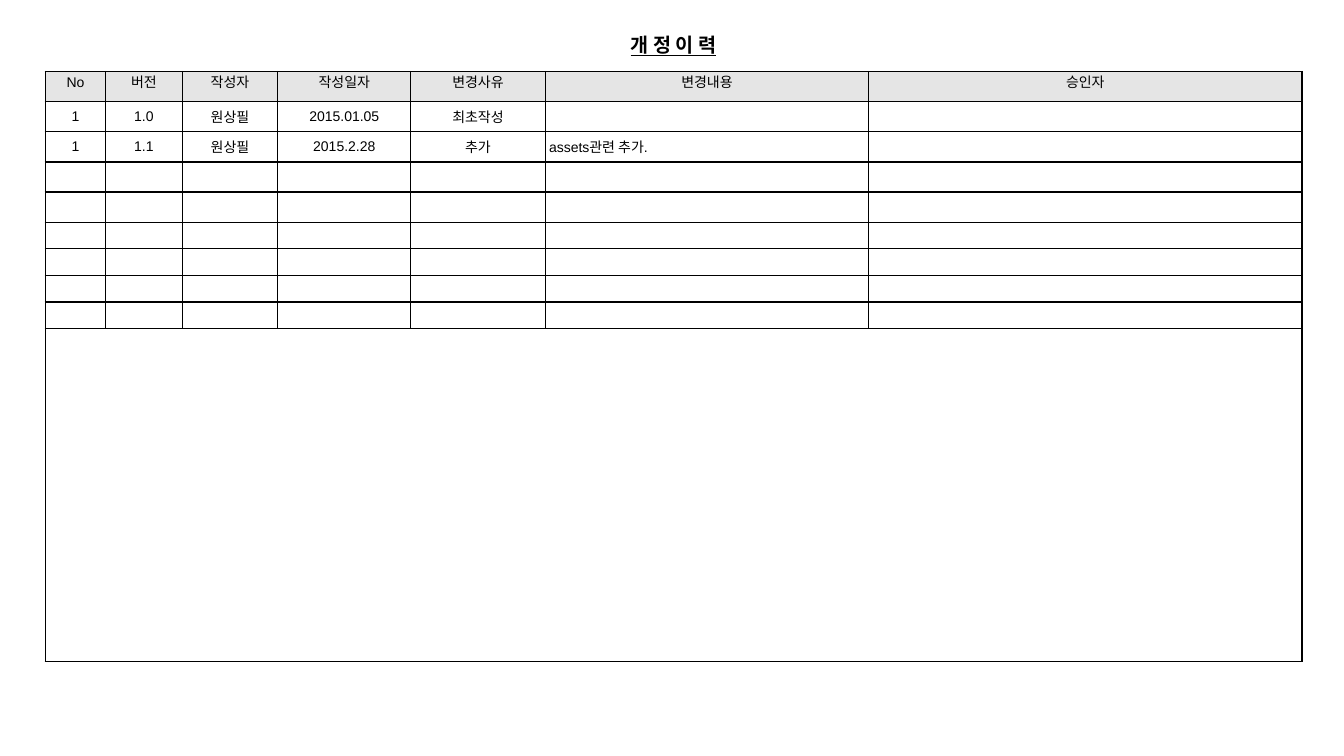
from pptx import Presentation
from pptx.dml.color import RGBColor
from pptx.enum.text import MSO_ANCHOR, PP_ALIGN
from pptx.oxml import parse_xml
from pptx.oxml.ns import nsdecls
from pptx.util import Cm, Pt

TITLE = "개 정 이 력"
HEAD = ["No", "버전", "작성자", "작성일자", "변경사유", "변경내용", "승인자"]
LOG = [
    ["1", "1.0", "원상필", "2015.01.05", "최초작성", "", ""],
    ["1", "1.1", "원상필", "2015.2.28", "추가", " assets관련 추가.", ""],
]
WIDTHS = [1.52, 1.93, 2.41, 3.35, 3.39, 8.15, 10.92]
HEIGHTS = [0.76] * 5 + [0.67] * 4 + [8.38]
LEFT, TOP = 1.14, 1.8
NOTE = 5

BLACK = RGBColor(0, 0, 0)
GREY = RGBColor(0xE5, 0xE5, 0xE5)
LATIN, KOREAN = "Arial", "Noto Sans CJK KR"


def write(para, text, size, face):
    run = para.add_run()
    run.text = text
    font = run.font
    font.size = Pt(size)
    font.name = face
    font.color.rgb = BLACK
    font._element.append(parse_xml(f'<a:ea {nsdecls("a")} typeface="{KOREAN}"/>'))
    return font


def border(cell):
    props = cell._tc.get_or_add_tcPr()
    for spot, side in enumerate("LRTB"):
        props.insert(spot, parse_xml(
            f'<a:ln{side} {nsdecls("a")} w="{Pt(1)}"><a:solidFill>'
            f'<a:srgbClr val="{BLACK}"/></a:solidFill></a:ln{side}>'))


def fill(cell, text, row, col):
    cell.margin_left = cell.margin_right = cell.margin_top = cell.margin_bottom = 0
    cell.vertical_anchor = MSO_ANCHOR.MIDDLE
    if row == 0:
        cell.fill.solid()
        cell.fill.fore_color.rgb = GREY
    else:
        cell.fill.background()
    border(cell)
    para = cell.text_frame.paragraphs[0]
    if text:
        para.alignment = PP_ALIGN.LEFT if row and col == NOTE else PP_ALIGN.CENTER
        if row == 0:
            para.line_spacing = 0.2
        write(para, text, 10, LATIN)
    else:
        para._p.append(parse_xml(f'<a:endParaRPr {nsdecls("a")} sz="{1000}"/>'))


def main():
    deck = Presentation()
    deck.slide_width, deck.slide_height = Cm(33.87), Cm(19.05)
    slide = deck.slides.add_slide(deck.slide_layouts[6])
    wide = Cm(sum(WIDTHS))

    box = slide.shapes.add_textbox(Cm(LEFT), Cm(0.66), wide, Cm(0.94))
    frame = box.text_frame
    frame.word_wrap = True
    frame.vertical_anchor = MSO_ANCHOR.MIDDLE
    para = frame.paragraphs[0]
    para.alignment = PP_ALIGN.CENTER
    font = write(para, TITLE, 14, KOREAN)
    font.bold = font.underline = True

    table = slide.shapes.add_table(
        len(HEIGHTS), len(WIDTHS), Cm(LEFT), Cm(TOP), wide, Cm(sum(HEIGHTS))).table
    table.first_row = table.horz_banding = False
    for col, width in zip(table.columns, WIDTHS):
        col.width = Cm(width)
    for row, height in zip(table.rows, HEIGHTS):
        row.height = Cm(height)

    blank = [""] * len(HEAD)
    rows = [HEAD] + LOG
    rows += [blank] * (len(HEIGHTS) - len(rows))
    for r, texts in enumerate(rows):
        for c, text in enumerate(texts):
            fill(table.cell(r, c), text, r, c)
    last = len(HEIGHTS) - 1
    table.cell(last, 0).merge(table.cell(last, len(HEAD) - 1))
    deck.save("out.pptx")


if __name__ == "__main__":
    main()
